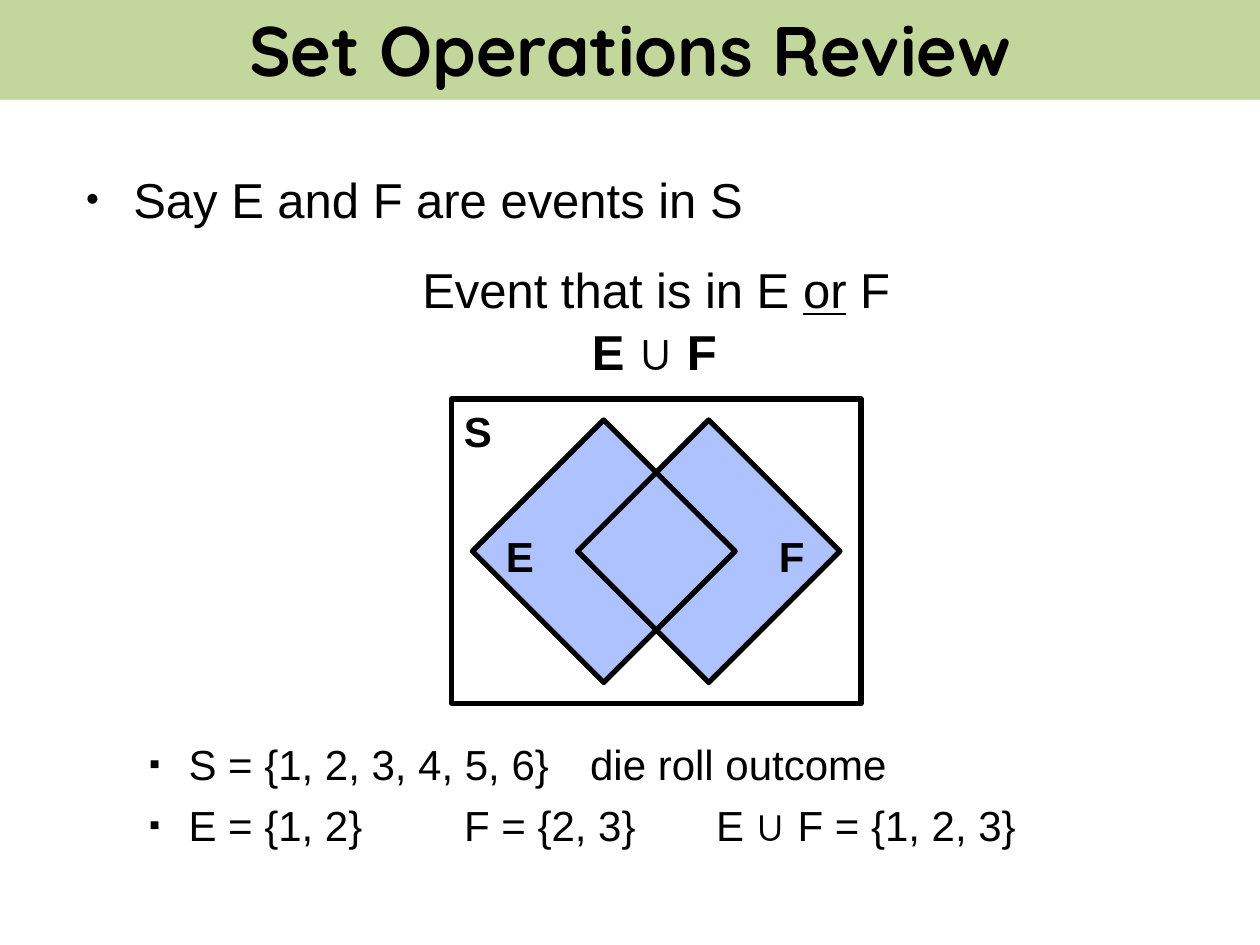
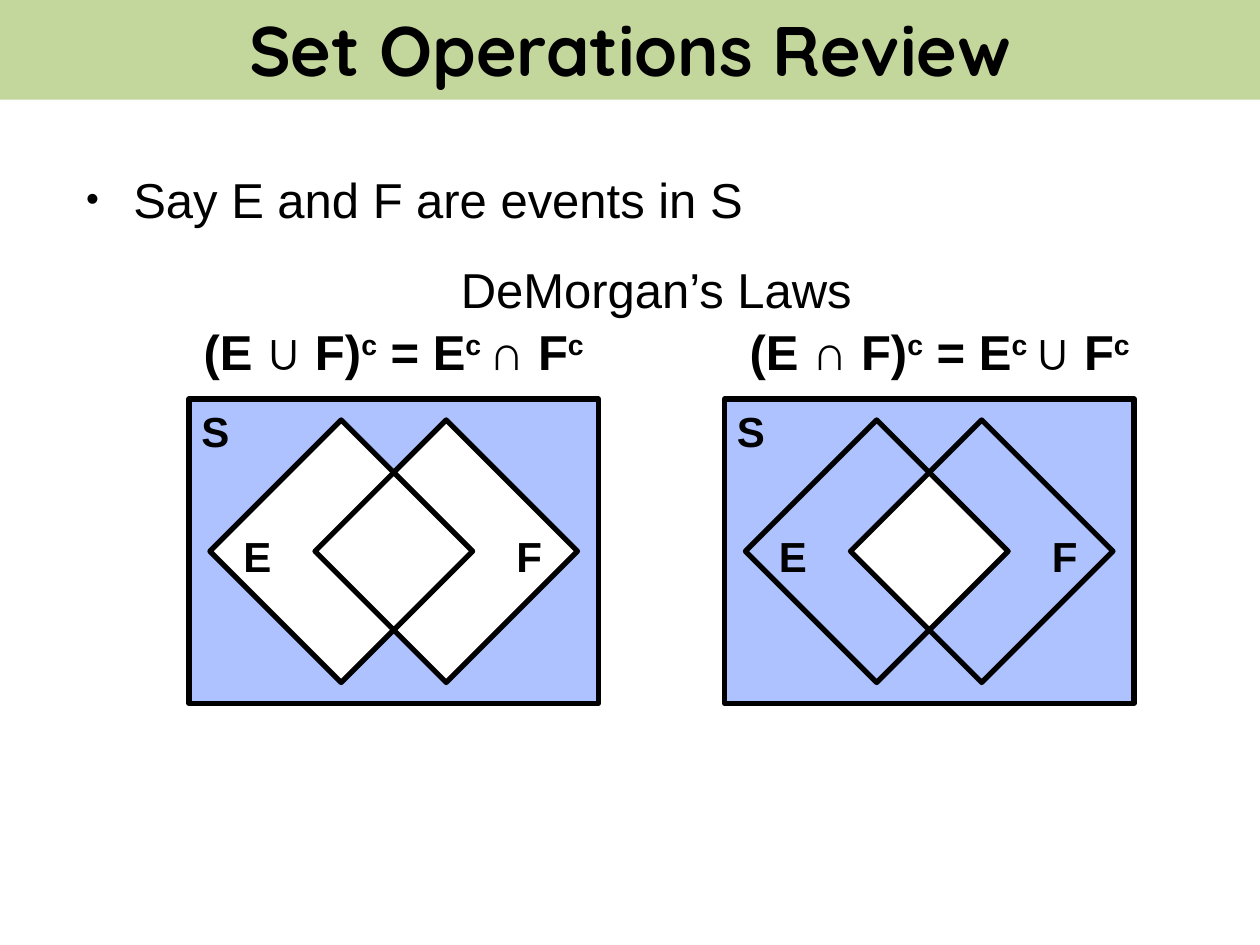
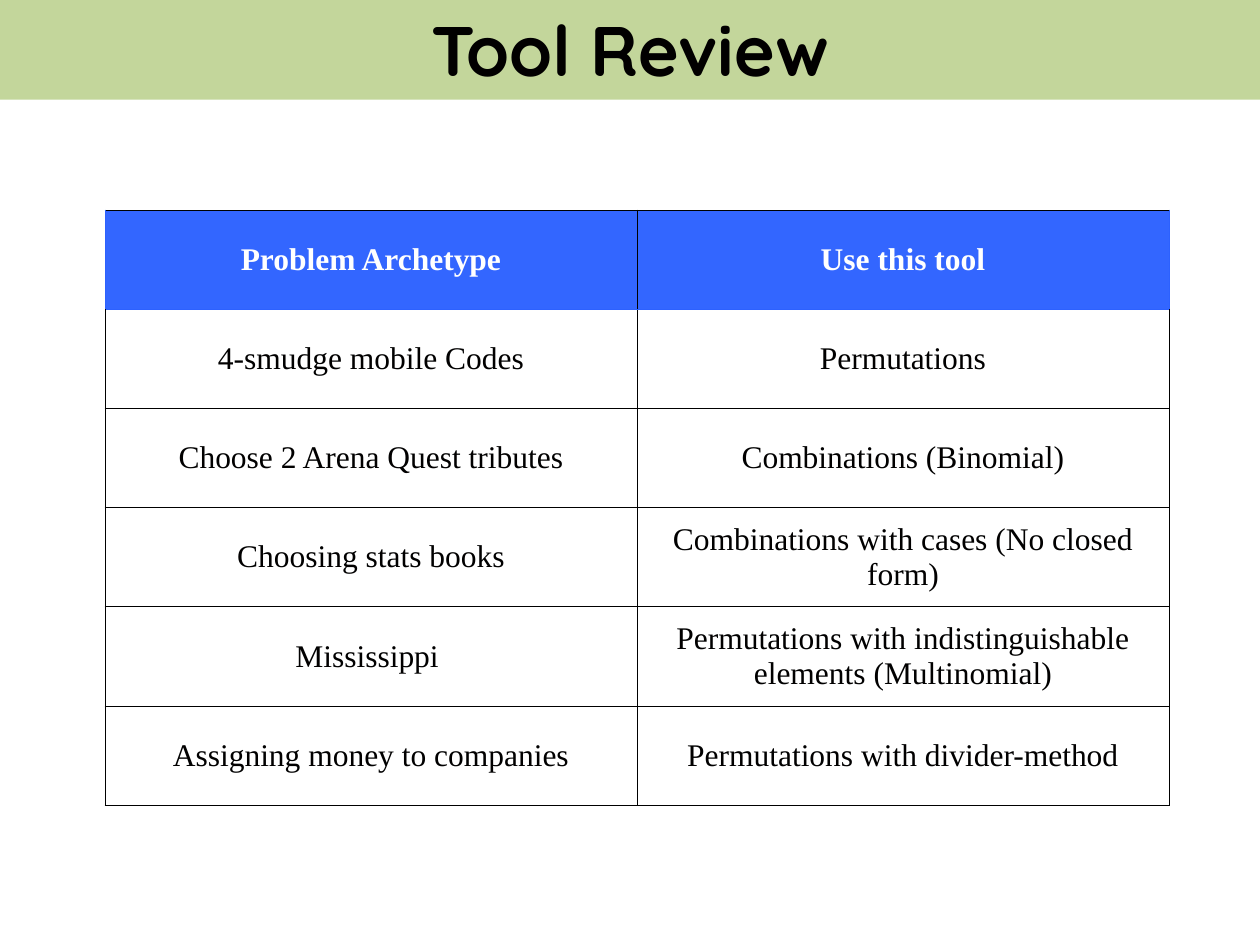
from dataclasses import dataclass

from lxml import etree
from pptx import Presentation
from pptx.dml.color import RGBColor
from pptx.enum.shapes import MSO_SHAPE
from pptx.enum.text import MSO_ANCHOR, MSO_AUTO_SIZE, PP_ALIGN
from pptx.oxml.ns import qn
from pptx.util import Pt

RECT = MSO_SHAPE.RECTANGLE
DIAMOND = MSO_SHAPE.DIAMOND
LEFT = PP_ALIGN.LEFT
CENTER = PP_ALIGN.CENTER
TOP = MSO_ANCHOR.TOP
MIDDLE = MSO_ANCHOR.MIDDLE
FIXED = MSO_AUTO_SIZE.NONE


@dataclass(frozen=True)
class Theme:
    ink: str = "010000"
    white: str = "FFFFFF"
    band: str = "C3D69B"
    shade: str = "ADC2FF"
    head: str = "3366FF"
    edge: str = "2D61FE"
    rule: str = "000000"
    title: str = "Quicksand"
    sans: str = "Arial"
    serif: str = "Times New Roman"
    huge: int = 40
    large: int = 28
    mid: int = 24
    small: int = 18


THEME = Theme()
LAWS = "Set Operations Review"
EVENTS = "Say E and F are events in S"
TOOLS = [
    ("Problem Archetype", "Use this tool"),
    ("4-smudge mobile Codes", "Permutations"),
    ("Choose 2 Arena Quest tributes", "Combinations (Binomial)"),
    ("Choosing stats books", "Combinations with cases (No closed form)"),
    ("Mississippi ",
     "Permutations with indistinguishable elements (Multinomial)"),
    ("Assigning money to companies", "Permutations with divider-method"),
]


def color(code):
    return RGBColor.from_string(code)


def style(run, face, size, bold=False, ink=THEME.ink):
    font = run.font
    font.name = face
    font.size = Pt(size)
    font.bold = bold
    font.color.rgb = color(ink)


def place(shape, left, top, width, height):
    shape.left, shape.top = Pt(left), Pt(top)
    shape.width, shape.height = Pt(width), Pt(height)


def add_title(slide, text):
    title = slide.shapes.title
    place(title, 0, -2, 720, 59)
    title.fill.solid()
    title.fill.fore_color.rgb = color(THEME.band)
    frame = title.text_frame
    frame.text = text
    frame.auto_size = FIXED
    frame.vertical_anchor = MIDDLE
    line = frame.paragraphs[0]
    line.alignment = CENTER
    style(line.runs[0], THEME.title, THEME.huge, True)


def add_mark(line, mark, left, hang):
    props = line._p.get_or_add_pPr()
    props.set("marL", str(Pt(left)))
    props.set("indent", str(Pt(-hang)))
    tint = etree.SubElement(props, qn("a:buClr"))
    etree.SubElement(tint, qn("a:srgbClr"), val=THEME.ink)
    etree.SubElement(props, qn("a:buSzPct"), val="75000")
    etree.SubElement(props, qn("a:buFont"), typeface=THEME.sans)
    etree.SubElement(props, qn("a:buChar"), char=mark)
    tabs = etree.SubElement(props, qn("a:tabLst"))
    for stop in range(1, 9):
        etree.SubElement(tabs, qn("a:tab"), pos=str(Pt(72 * stop)), algn="l")


def add_body(slide, facts=()):
    body = slide.placeholders[1]
    place(body, 42, 93, 660, 405)
    frame = body.text_frame
    frame.text = "\n".join([EVENTS, *facts])
    frame.auto_size = FIXED
    frame.vertical_anchor = TOP
    for rank, line in enumerate(frame.paragraphs):
        if rank:
            line.level = 1
            add_mark(line, "▪", 58.5, 22.5)
            line.space_before = Pt(292 if rank == 1 else 6)
        else:
            add_mark(line, "•", 27, 27)
            line.space_before = Pt(0)
        for run in line.runs:
            style(run, THEME.sans, THEME.mid if rank else THEME.large)


def add_label(slide, box, parts, size, bold=False, align=LEFT):
    label = slide.shapes.add_textbox(*map(Pt, box))
    frame = label.text_frame
    frame.word_wrap = True
    line = frame.paragraphs[0]
    line.alignment = align
    for text, kind in parts:
        run = line.add_run()
        run.text = text
        style(run, THEME.sans, size, bold)
        if kind == "under":
            run.font.underline = True
        elif kind == "super":
            run._r.get_or_add_rPr().set("baseline", "30000")


def add_lead(slide, parts):
    add_label(slide, (210, 145, 330, 41), parts, THEME.large, align=CENTER)


def add_rule(slide, left, width, parts):
    add_label(slide, (left, 180, width, 41), parts, THEME.large, True, CENTER)


def add_law(slide, left, outer, inner):
    add_rule(slide, left, 282, [
        (f"(E {outer} F)", ""), ("c", "super"), (" = E", ""),
        ("c ", "super"), (f"{inner} F", ""), ("c", "super"),
    ])


def add_area(slide, kind, box, fill):
    area = slide.shapes.add_shape(kind, *map(Pt, box))
    area.shadow.inherit = False
    area.fill.solid()
    area.fill.fore_color.rgb = color(fill)
    area.line.color.rgb = color(THEME.ink)
    area.line.width = Pt(3)


def add_venn(slide, left, space, sets, both):
    top = 228
    add_area(slide, RECT, (left, top, 234, 174), space)
    for shift, drop, size, fill in (
        (72, 12, 150, sets), (12, 12, 150, sets), (72, 42, 90, both),
    ):
        add_area(slide, DIAMOND, (left + shift, top + drop, size, size), fill)
    for name, shift, drop in (("S", 0, 0), ("E", 24, 71.5), ("F", 180, 71.5)):
        box = (left + shift, top + drop, 54, 36)
        add_label(slide, box, [(name, "")], THEME.mid, True)


def add_edge(cell, side, tint, width):
    props = cell._tc.get_or_add_tcPr()
    edge = etree.SubElement(props, qn(f"a:ln{side}"), w=str(Pt(width)))
    fill = etree.SubElement(edge, qn("a:solidFill"))
    etree.SubElement(fill, qn("a:srgbClr"), val=tint)


def edge_look(side, row, col):
    outer = row == 0 and side == "LR"[col]
    below = (row, side) in ((0, "B"), (1, "T"))
    return (THEME.edge, 0.34) if outer or below else (THEME.rule, 0.45)


def fill_cell(cell, text, row, col):
    for side in "LRTB":
        add_edge(cell, side, *edge_look(side, row, col))
    head = row == 0
    if head:
        cell.fill.solid()
        cell.fill.fore_color.rgb = color(THEME.head)
    else:
        cell.fill.background()
    cell.vertical_anchor = MIDDLE
    cell.text_frame.text = text
    line = cell.text_frame.paragraphs[0]
    line.alignment = CENTER
    ink = THEME.white if head else THEME.ink
    style(line.runs[0], THEME.serif, THEME.small, head, ink)


def add_grid(slide, rows):
    box = map(Pt, (60, 120, 608, 340.2))
    grid = slide.shapes.add_table(len(rows), 2, *box).table
    grid.first_row = grid.horz_banding = False
    for row, texts in enumerate(rows):
        for col, text in enumerate(texts):
            fill_cell(grid.cell(row, col), text, row, col)


def main():
    deck = Presentation()
    deck.slide_width, deck.slide_height = Pt(720), Pt(540)
    listed, plain = deck.slide_layouts[1], deck.slide_layouts[5]

    union = deck.slides.add_slide(listed)
    add_title(union, LAWS)
    add_body(union, [
        "S = {1, 2, 3, 4, 5, 6}\tdie roll outcome",
        "E = {1, 2}\tF = {2, 3}\tE ∪ F = {1, 2, 3}",
    ])
    add_lead(union, [
        ("Event that is in E ", ""), ("or", "under"), (" F", ""),
    ])
    add_rule(union, 330, 88, [("E ∪ F", "")])
    add_venn(union, 258, THEME.white, THEME.shade, THEME.shade)

    laws = deck.slides.add_slide(listed)
    add_title(laws, LAWS)
    add_body(laws)
    add_lead(laws, [("DeMorgan’s Laws", "")])
    add_law(laws, 84, "∪", "∩")
    add_venn(laws, 108, THEME.shade, THEME.white, THEME.white)
    add_law(laws, 396, "∩", "∪")
    add_venn(laws, 414, THEME.shade, THEME.shade, THEME.white)

    tools = deck.slides.add_slide(plain)
    add_title(tools, "Tool Review")
    add_grid(tools, TOOLS)

    deck.save("out.pptx")


if __name__ == "__main__":
    main()
